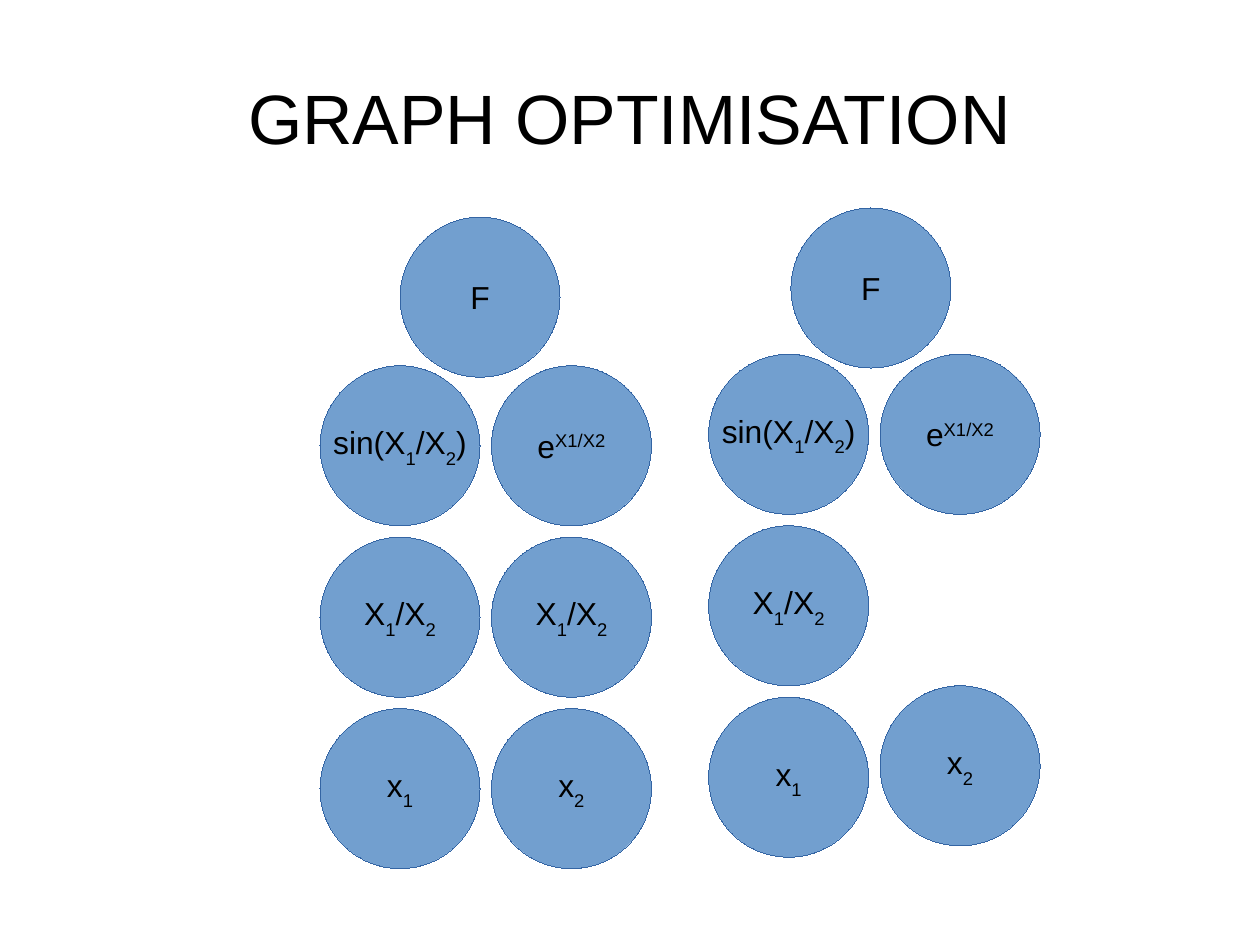
"""Build a slide that compares a graph before and after optimisation."""
import dataclasses

import pptx
import pptx.dml.color
import pptx.enum.shapes
import pptx.enum.text
import pptx.slide
import pptx.text.text
import pptx.util

BLACK = pptx.dml.color.RGBColor(0x00, 0x00, 0x00)
BLUE = pptx.dml.color.RGBColor(0x72, 0x9F, 0xCF)
NAVY = pptx.dml.color.RGBColor(0x34, 0x65, 0xA4)
WIDE, HIGH = pptx.util.Cm(28), pptx.util.Cm(21)
CELL = pptx.util.Inches(0.1)
STEP, SIZE = 15, 14
SUB, SUPER = -33, 33

X1 = ("x", "1")
X2 = ("x", "2")
RATIO = ("X", "1", "/X", "2")
SINE = ("sin(X", "1", "/X", "2", ")")
POWER = ("e", "X1/X2")
ROOT = ("F",)


@dataclasses.dataclass(frozen=True)
class Node:
    """A disc, placed in grid cells from the corner of its graph."""
    label: tuple[str, ...]
    col: float
    row: float
    shift: int = SUB


@dataclasses.dataclass(frozen=True)
class Graph:
    """A group of discs, placed in grid cells on the slide."""
    left: float
    top: float
    nodes: tuple[Node, ...]


GRAPHS = (
    Graph(28, 32, (
        Node(X1, 0, 2 * STEP), Node(X2, STEP, 2 * STEP),
        Node(RATIO, 0, STEP), Node(RATIO, STEP, STEP),
        Node(SINE, 0, 0), Node(POWER, STEP, 0, SUPER),
        Node(ROOT, 7, -13),
    )),
    Graph(62, 31, (
        Node(X1, 0, 2 * STEP), Node(X2, STEP, 2 * STEP - 1),
        Node(RATIO, 0, STEP),
        Node(SINE, 0, 0), Node(POWER, STEP, 0, SUPER),
        Node(ROOT, 7.2, -12.8),
    )),
)


def cells(count: float) -> pptx.util.Emu:
    """Turn a count of grid cells into a length."""
    return pptx.util.Emu(round(count * CELL))


def share(whole: int, part: float) -> pptx.util.Emu:
    """Take a share of a length."""
    return pptx.util.Emu(round(whole * part))


def write(frame: pptx.text.text.TextFrame, parts: tuple[str, ...], *,
          size: float, shift: int = SUB, wrap: bool = False) -> None:
    """Write centred text in which every second part is raised or lowered."""
    frame.word_wrap = wrap
    frame.auto_size = pptx.enum.text.MSO_AUTO_SIZE.NONE
    frame.vertical_anchor = pptx.enum.text.MSO_ANCHOR.MIDDLE
    line = frame.paragraphs[0]
    line.alignment = pptx.enum.text.PP_ALIGN.CENTER
    for index, part in enumerate(parts):
        run = line.add_run()
        run.text = part
        run.font.name = "Arial"
        run.font.size = pptx.util.Pt(size)
        run.font.color.rgb = BLACK
        if index % 2:
            run._r.get_or_add_rPr().set("baseline", str(shift * 1000))


def head(slide: pptx.slide.Slide, text: str) -> None:
    """Place and fill the title."""
    title = slide.shapes.title
    title.left, title.top = share(WIDE, 0.05), share(HIGH, 0.04)
    title.width, title.height = share(WIDE, 0.9), share(HIGH, 1 / 6)
    frame = title.text_frame
    frame.margin_left = frame.margin_right = 0
    frame.margin_top = frame.margin_bottom = 0
    write(frame, (text,), size=44, wrap=True)


def draw(slide: pptx.slide.Slide, graph: Graph) -> None:
    """Draw the nodes of a graph on the grid."""
    for node in graph.nodes:
        disc = slide.shapes.add_shape(
            pptx.enum.shapes.MSO_SHAPE.OVAL,
            cells(graph.left + node.col), cells(graph.top + node.row),
            cells(SIZE), cells(SIZE))
        disc.shadow.inherit = False
        disc.fill.solid()
        disc.fill.fore_color.rgb = BLUE
        disc.line.color.rgb = NAVY
        disc.line._get_or_add_ln().set("w", "0")
        write(disc.text_frame, node.label, size=20, shift=node.shift)


def main() -> None:
    """Build and save the slide."""
    deck = pptx.Presentation()
    deck.slide_width, deck.slide_height = WIDE, HIGH
    slide = deck.slides.add_slide(deck.slide_layouts.get_by_name("Title Only"))
    head(slide, "GRAPH OPTIMISATION")
    for graph in GRAPHS:
        draw(slide, graph)
    deck.save("out.pptx")


if __name__ == "__main__":
    main()
